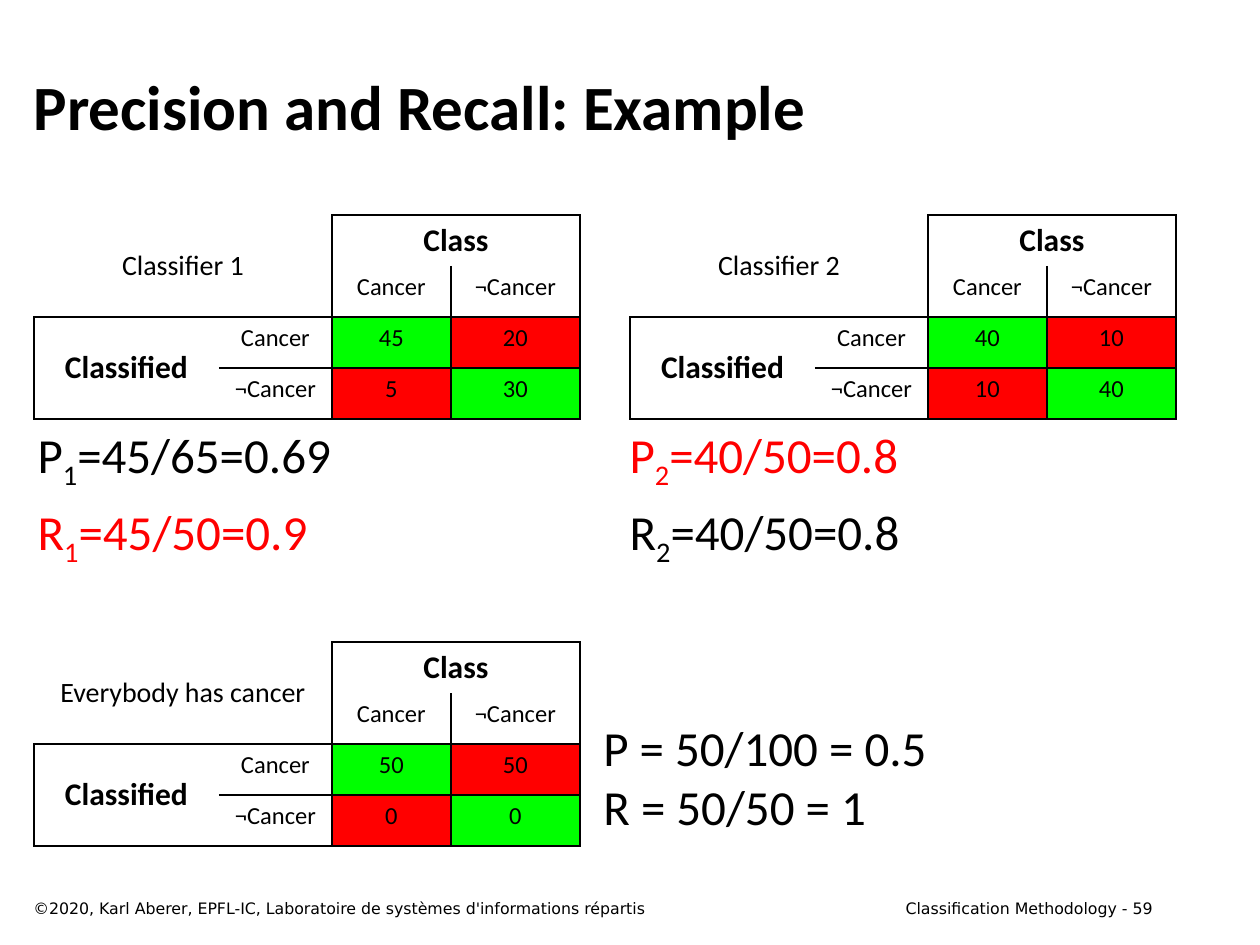
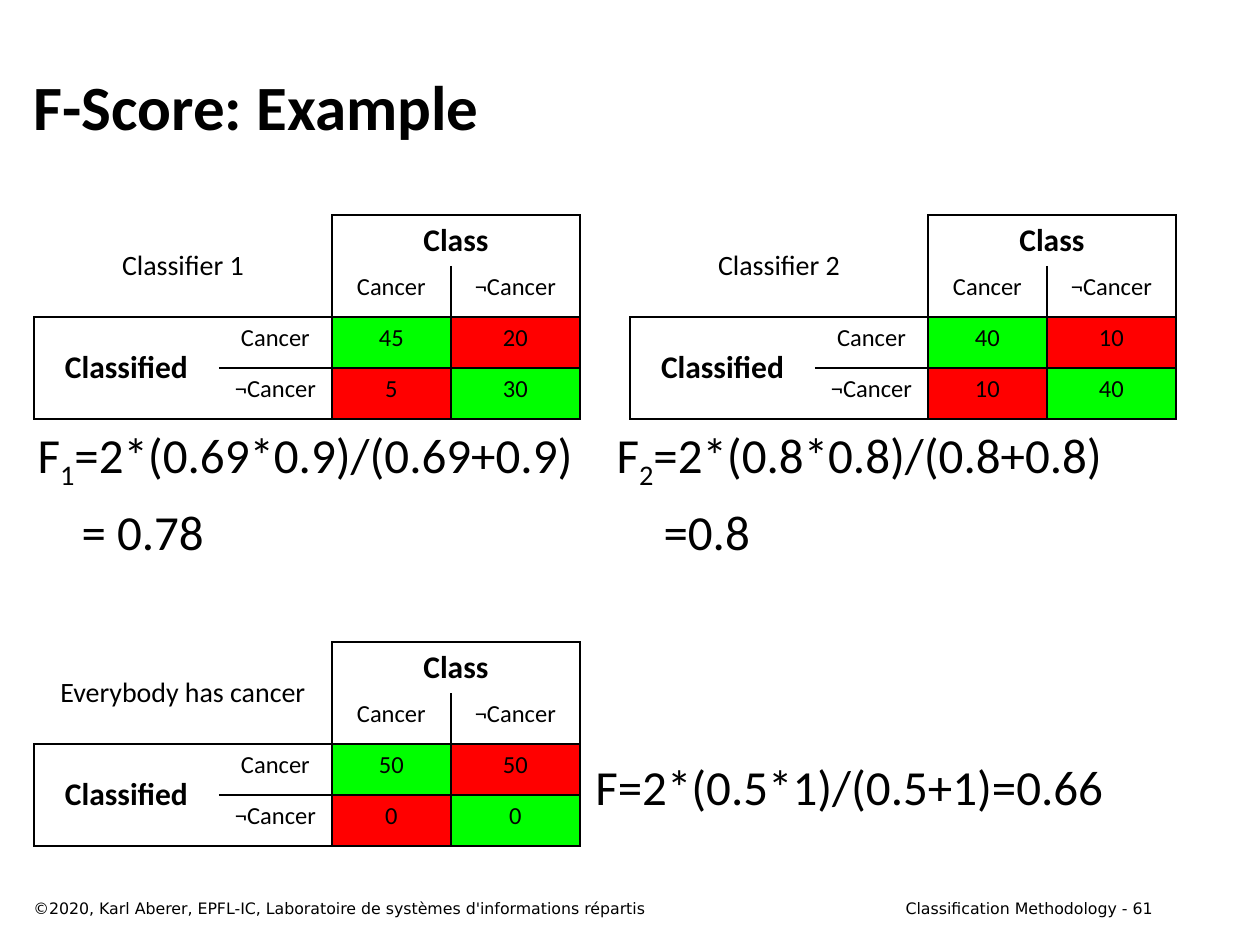
import pptx
import pptx.util
import pptx.dml.color
import pptx.enum.text
import pptx.oxml.ns
from lxml import etree

SCALE = 914400 / 126
COLORS = {"black": "000000", "red": "FF0000", "green": "00FF00"}
SIDES = {"l": "lnL", "r": "lnR", "t": "lnT", "b": "lnB"}
BORDERS = [
    ["rb", "r", "ltr", "tr"],
    ["b", "rb", "lrb", "lrb"],
    ["ltb", "trb", "ltrb", "ltrb"],
    ["lb", "trb", "ltrb", "ltrb"],
]
COL_WIDTHS = [185, 113, 119, 129]
ROW_HEIGHT = 51
MATRICES = [
    ("Classifier 1", 34, 215, [["45", "20"], ["5", "30"]]),
    ("Classifier 2", 630, 215, [["40", "10"], ["10", "40"]]),
    ("Everybody has cancer", 34, 642, [["50", "50"], ["0", "0"]]),
]
COPYRIGHT = "©2020, Karl Aberer, EPFL-IC, Laboratoire de systèmes d'informations répartis"
ALIGN = pptx.enum.text.PP_ALIGN
MIDDLE = pptx.enum.text.MSO_ANCHOR.MIDDLE
TOP = pptx.enum.text.MSO_ANCHOR.TOP

SLIDES = [
    {
        "title": "Precision and Recall: Example",
        "page": 59,
        "formulas": [
            (25, [("black", 0, ["P", "_1", "=45/65=0.69"]),
                  ("red", 0, ["R", "_1", "=45/50=0.9"])]),
            (617, [("red", 0, ["P", "_2", "=40/50=0.8"]),
                   ("black", 0, ["R", "_2", "=40/50=0.8"])]),
        ],
        "baseline": (591, 711, 354, 131, ["P = 50/100 = 0.5", "R = 50/50 = 1"]),
    },
    {
        "title": "F-Score: Example",
        "page": 61,
        "formulas": [
            (25, [("black", 0, ["F", "_1", "=2*(0.69*0.9)/(0.69+0.9)"]),
                  ("black", 44, ["= 0.78"])]),
            (604, [("black", 0, ["F", "_2", "=2*(0.8*0.8)/(0.8+0.8)"]),
                   ("black", 47, ["=0.8"])]),
        ],
        "baseline": (583, 750, 539, 72, ["F=2*(0.5*1)/(0.5+1)=0.66"]),
    },
]


def px(n):
    return pptx.util.Emu(round(n * SCALE))


def add_run(p, text, size, color="black", bold=False, font="Calibri"):
    r = p.add_run()
    r.text = text.removeprefix("_")
    r.font.size = pptx.util.Pt(size)
    r.font.name = font
    r.font.bold = bold
    r.font.color.rgb = pptx.dml.color.RGBColor.from_string(COLORS[color])
    if text.startswith("_"):
        r.font._element.set("baseline", "-25000")


prs = pptx.Presentation()
prs.slide_width, prs.slide_height = px(1260), px(945)

for content in SLIDES:
    slide = prs.slides.add_slide(prs.slide_layouts[3])
    title, *bodies = slide.placeholders
    boxes = [(21, 42, 1144, 126)] + [(left, 418, 570, 170) for left, _ in content["formulas"]]
    for sp, box in zip([title, *bodies], boxes):
        sp.left, sp.top, sp.width, sp.height = map(px, box)
        sp.text_frame.auto_size = pptx.enum.text.MSO_AUTO_SIZE.NONE
        sp.text_frame.vertical_anchor = MIDDLE if sp is title else TOP

    p = title.text_frame.paragraphs[0]
    p.alignment = ALIGN.LEFT
    add_run(p, content["title"], 36, bold=True)

    for body, (_, lines) in zip(bodies, content["formulas"]):
        tf = body.text_frame
        for i, (color, indent, runs) in enumerate(lines):
            p = tf.add_paragraph() if i else tf.paragraphs[0]
            p.space_before = pptx.util.Pt(5.6 if i else 0)
            pPr = p._p.get_or_add_pPr()
            pPr.set("marL", str(px(indent)))
            pPr.set("indent", "0")
            etree.SubElement(pPr, pptx.oxml.ns.qn("a:buNone"))
            for text in runs:
                add_run(p, text, 28, color)

    for text, left, width, align in (
            (COPYRIGHT, 21, 809, ALIGN.LEFT),
            (f"Classification Methodology - {content['page']}", 878, 287, ALIGN.RIGHT)):
        sp = slide.shapes.add_textbox(px(left), px(893), px(width), px(32))
        sp.text_frame.word_wrap = True
        p = sp.text_frame.paragraphs[0]
        p.alignment = align
        add_run(p, text, 9, font="DejaVu Sans")

    for name, left, top, counts in MATRICES:
        table = slide.shapes.add_table(4, 4, px(left), px(top), px(sum(COL_WIDTHS)),
                                       px(4 * ROW_HEIGHT)).table
        table.first_row = table.horz_banding = False
        for col, width in zip(table.columns, COL_WIDTHS):
            col.width = px(width)
        for row in table.rows:
            row.height = px(ROW_HEIGHT)
        for first, last in (((0, 0), (1, 1)), ((0, 2), (0, 3)), ((2, 0), (3, 0))):
            table.cell(*first).merge(table.cell(*last))

        texts = [
            [name, "", "Class", ""],
            ["", "", "Cancer", "¬Cancer"],
            ["Classified", "Cancer", *counts[0]],
            ["", "¬Cancer", *counts[1]],
        ]
        for r, row in enumerate(texts):
            for c, text in enumerate(row):
                cell = table.cell(r, c)
                tcPr = cell._tc.get_or_add_tcPr()
                for side, tag in SIDES.items():
                    ln = etree.SubElement(tcPr, pptx.oxml.ns.qn("a:" + tag), w="12700")
                    if side in BORDERS[r][c]:
                        fill = etree.SubElement(ln, pptx.oxml.ns.qn("a:solidFill"))
                        etree.SubElement(fill, pptx.oxml.ns.qn("a:srgbClr"), val=COLORS["black"])
                    else:
                        etree.SubElement(ln, pptx.oxml.ns.qn("a:noFill"))
                if r > 1 and c > 1:
                    cell.fill.solid()
                    cell.fill.fore_color.rgb = pptx.dml.color.RGBColor.from_string(
                        COLORS["green" if r == c else "red"])
                else:
                    cell.fill.background()
                if text:
                    heading = text in ("Class", "Classified")
                    size = 18 if heading else 16 if text == name else 14
                    cell.vertical_anchor = TOP if size == 14 else MIDDLE
                    p = cell.text_frame.paragraphs[0]
                    p.alignment = ALIGN.CENTER
                    add_run(p, text, size, bold=heading)

    left, top, width, height, lines = content["baseline"]
    tf = slide.shapes.add_textbox(px(left), px(top), px(width), px(height)).text_frame
    tf.word_wrap = False
    for i, line in enumerate(lines):
        add_run(tf.add_paragraph() if i else tf.paragraphs[0], line, 28)

prs.save("out.pptx")
